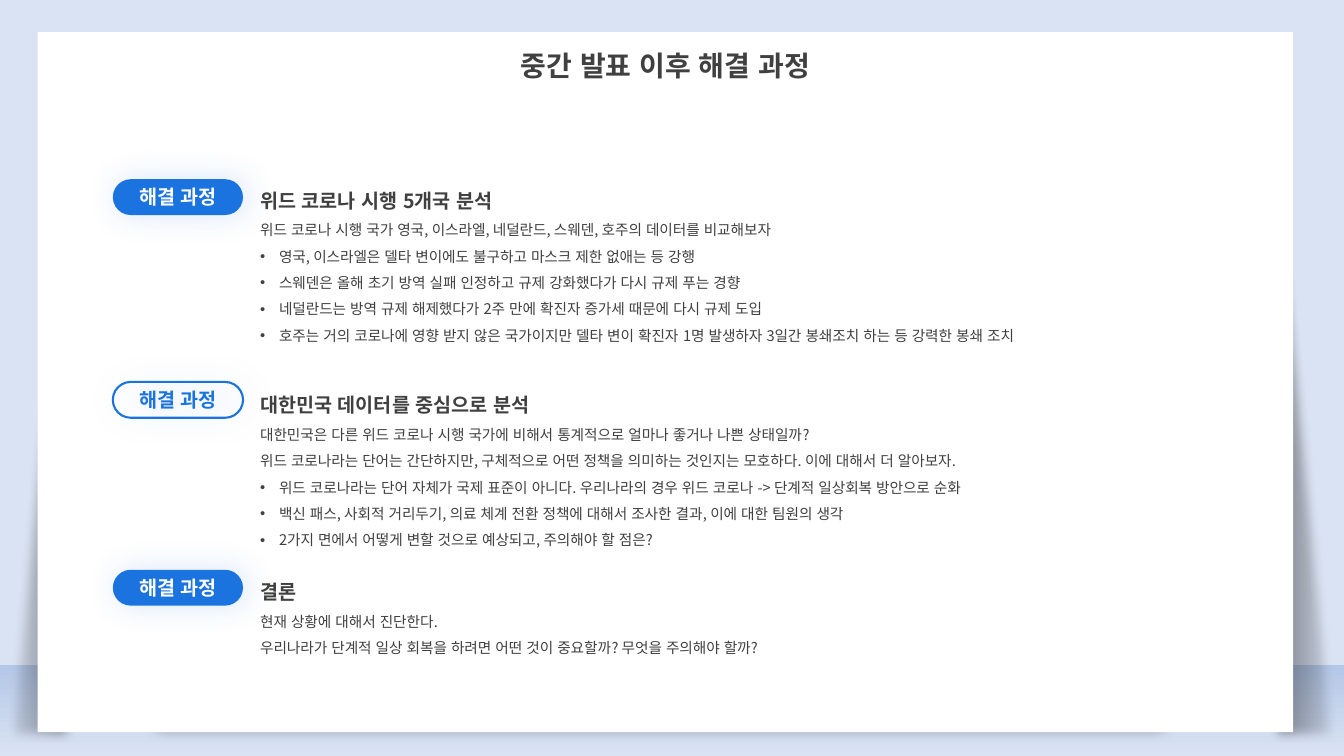
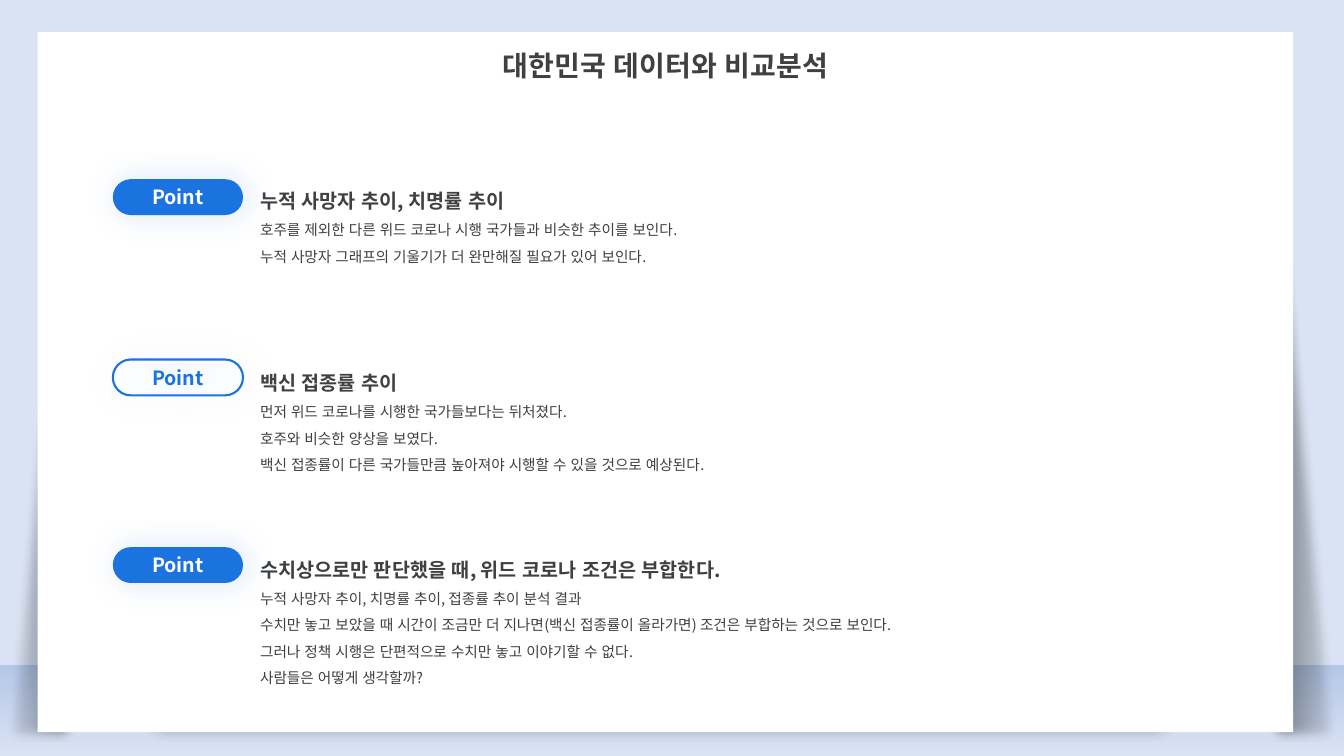
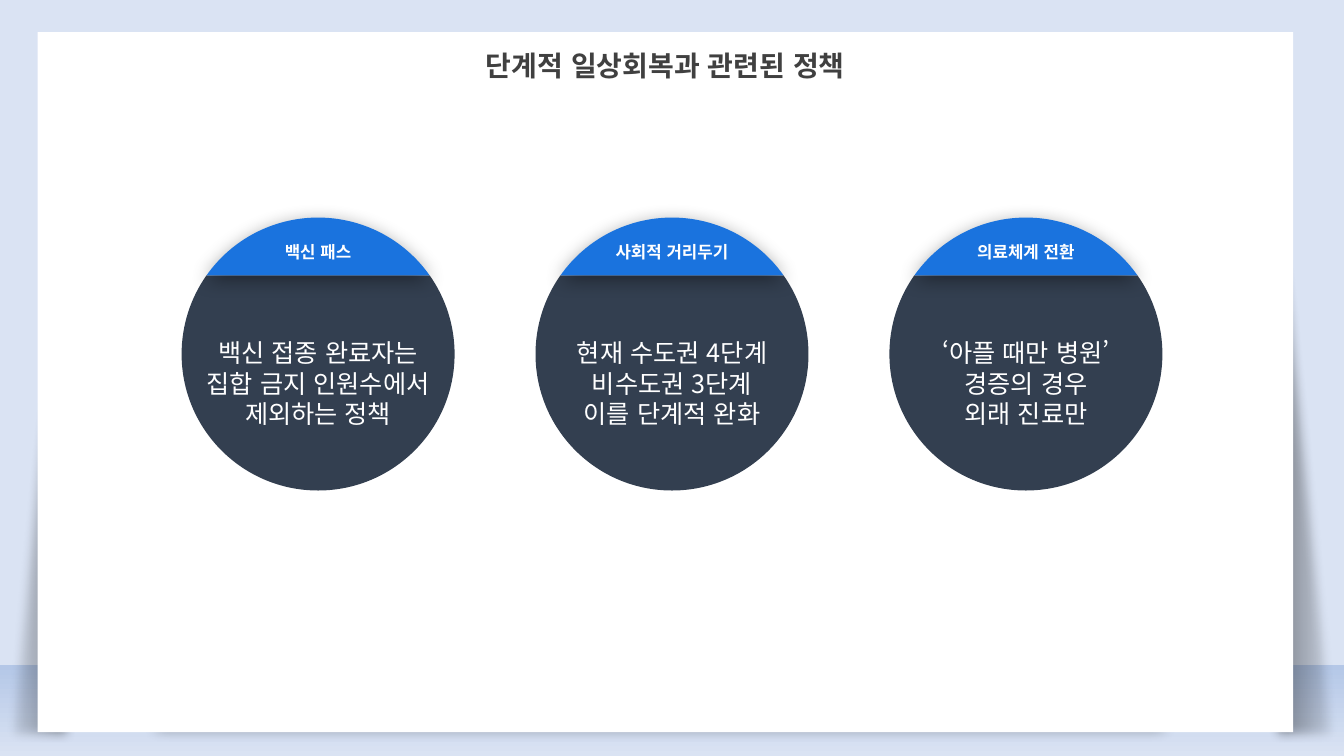
"""Build three slides on the phased return to daily life in Korea."""
import math
from dataclasses import dataclass
from typing import Optional

from lxml import etree
from pptx import Presentation
from pptx import util as u
from pptx.dml import color
from pptx.enum import lang, shapes, text
from pptx.oxml import ns

FONT = "Noto Sans CJK KR"
BLUE, NAVY, INK = "1A73DE", "333F50", "404040"
WHITE, BLACK, PALE, MIST = "FFFFFF", "000000", "DAE3F3", "B4C7E7"
SLIDE_W, SLIDE_H = 960, 540
RADIUS, CHORD_RISE = 97.5, 56.2
RECT, TRIANGLE = shapes.MSO_SHAPE.RECTANGLE, shapes.MSO_SHAPE.RIGHT_TRIANGLE
PILL = shapes.MSO_SHAPE.ROUNDED_RECTANGLE
CENTER, LEFT = text.PP_ALIGN.CENTER, text.PP_ALIGN.LEFT
TOP, MIDDLE = text.MSO_ANCHOR.TOP, text.MSO_ANCHOR.MIDDLE


@dataclass(frozen=True)
class Box:
    left: float
    top: float
    width: float
    height: float

    def lengths(self) -> tuple:
        return tuple(u.Pt(v) for v in (self.left, self.top, self.width, self.height))


@dataclass(frozen=True)
class Shadow:
    hue: str
    alpha: int
    blur: float
    dist: float
    angle: int
    scale: Optional[tuple] = None


@dataclass(frozen=True)
class Section:
    pill_top: float
    box: Box
    heading: str
    lines: tuple
    bullets: tuple = ()
    filled: bool = True


@dataclass(frozen=True)
class Policy:
    name: str
    lines: tuple


CARD = Box(26.8, 23, 897, 500)
CARD_SHADOW = Shadow(BLACK, 40, 10, 96, 18, (80, 94))
PILL_SHADOW = Shadow(BLUE, 17, 23, 3, 0)
CAP_SHADOW = Shadow(BLACK, 40, 14, 3, 90)

PROCESS = (
    Section(128, Box(178.6, 122.7, 608, 117.4), "위드 코로나 시행 5개국 분석",
            ("위드 코로나 시행 국가 영국, 이스라엘, 네덜란드, 스웨덴, 호주의 데이터를 비교해보자",),
            ("영국, 이스라엘은 델타 변이에도 불구하고 마스크 제한 없애는 등 강행",
             "스웨덴은 올해 초기 방역 실패 인정하고 규제 강화했다가 다시 규제 푸는 경향",
             "네덜란드는 방역 규제 해제했다가 2주 만에 확진자 증가세 때문에 다시 규제 도입",
             "호주는 거의 코로나에 영향 받지 않은 국가이지만 델타 변이 확진자 1명 발생하자 "
             "3일간 봉쇄조치 하는 등 강력한 봉쇄 조치")),
    Section(272.8, Box(178.6, 268.8, 669, 121), "대한민국 데이터를 중심으로 분석",
            ("대한민국은 다른 위드 코로나 시행 국가에 비해서 통계적으로 얼마나 좋거나 나쁜 상태일까?",
             "위드 코로나라는 단어는 간단하지만, 구체적으로 어떤 정책을 의미하는 것인지는 모호하다. "
             "이에 대해서 더 알아보자."),
            ("위드 코로나라는 단어 자체가 국제 표준이 아니다. 우리나라의 경우 위드 코로나 -> "
             "단계적 일상회복 방안으로 순화",
             "백신 패스, 사회적 거리두기, 의료 체계 전환 정책에 대해서 조사한 결과, 이에 대한 팀원의 생각",
             "2가지 면에서 어떻게 변할 것으로 예상되고, 주의해야 할 점은?"), filled=False),
    Section(407, Box(178.6, 402.5, 531.4, 67.7), "결론",
            ("현재 상황에 대해서 진단한다.",
             "우리나라가 단계적 일상 회복을 하려면 어떤 것이 중요할까? 무엇을 주의해야 할까?")),
)
POINTS = (
    Section(128, Box(178.6, 122.7, 608, 117.4), "누적 사망자 추이, 치명률 추이",
            ("호주를 제외한 다른 위드 코로나 시행 국가들과 비슷한 추이를 보인다.",
             "누적 사망자 그래프의 기울기가 더 완만해질 필요가 있어 보인다.")),
    Section(256.8, Box(178.6, 252.7, 669, 121), "백신 접종률 추이",
            ("먼저 위드 코로나를 시행한 국가들보다는 뒤처졌다.",
             "호주와 비슷한 양상을 보였다.",
             "백신 접종률이 다른 국가들만큼 높아져야 시행할 수 있을 것으로 예상된다."), filled=False),
    Section(390.8, Box(178.6, 386.2, 531.4, 116), "수치상으로만 판단했을 때, 위드 코로나 조건은 부합한다.",
            ("누적 사망자 추이, 치명률 추이, 접종률 추이 분석 결과",
             "수치만 놓고 보았을 때 시간이 조금만 더 지나면(백신 접종률이 올라가면) "
             "조건은 부합하는 것으로 보인다.",
             "그러나 정책 시행은 단편적으로 수치만 놓고 이야기할 수 없다.",
             "사람들은 어떻게 생각할까?")),
)
POLICIES = (
    Policy("백신 패스", ("백신 접종 완료자는", "집합 금지 인원수에서", "제외하는 정책")),
    Policy("사회적 거리두기", ("현재 수도권 4단계", "비수도권 3단계", "이를 단계적 완화")),
    Policy("의료체계 전환", ("‘아플 때만 병원’", "경증의 경우", "외래 진료만")),
)


def rgb(value: str) -> color.RGBColor:
    return color.RGBColor.from_string(value)


def paint(sp, fill: Optional[str] = None, line: Optional[str] = None) -> None:
    sp.shadow.inherit = False
    if fill:
        sp.fill.solid()
        sp.fill.fore_color.rgb = rgb(fill)
    else:
        sp.fill.background()
    if line:
        sp.line.color.rgb = rgb(line)
        sp.line.width = u.Pt(1.5)
    else:
        sp.line.fill.background()


def add_effect(sp, name: str, **attrs):
    effects = sp.element.spPr.find(ns.qn("a:effectLst"))
    return etree.SubElement(effects, ns.qn(f"a:{name}"), {k: str(v) for k, v in attrs.items()})


def cast(sp, shadow: Shadow) -> None:
    attrs = dict(blurRad=u.Pt(shadow.blur), dist=u.Pt(shadow.dist), dir=shadow.angle * 60000)
    if shadow.scale:
        attrs.update(sx=shadow.scale[0] * 1000, sy=shadow.scale[1] * 1000)
    outer = add_effect(sp, "outerShdw", **attrs, algn="tl", rotWithShape=0)
    hue = etree.SubElement(outer, ns.qn("a:srgbClr"), val=shadow.hue)
    etree.SubElement(hue, ns.qn("a:alpha"), val=str(shadow.alpha * 1000))


def gradient(sp, hues: tuple, angle: int, alphas: tuple = ()) -> None:
    sp.fill.gradient()
    sp.fill.gradient_angle = angle
    for stop, hue in zip(sp.fill.gradient_stops, hues):
        stop.color.rgb = rgb(hue)
    grad = sp.element.spPr.find(ns.qn("a:gradFill"))
    for node, alpha in zip(grad.iter(ns.qn("a:srgbClr")), alphas):
        etree.SubElement(node, ns.qn("a:alpha"), val=str(alpha * 1000))


def style(p, size: float, hue: str, bold: bool = False, align=CENTER, spacing: float = 1.0) -> None:
    p.alignment, p.line_spacing = align, spacing
    p.space_before = p.space_after = u.Pt(0)
    p.font.name, p.font.size, p.font.bold = FONT, u.Pt(size), bold
    p.font.language_id = lang.MSO_LANGUAGE_ID.KOREAN
    p.font.color.rgb = rgb(hue)
    etree.SubElement(p.font._element, ns.qn("a:ea"), typeface=FONT)


def set_bullet(p, bullet: bool) -> None:
    ppr = p._p.get_or_add_pPr()
    indent = u.Pt(13.5) if bullet else 0
    ppr.set("marL", str(indent))
    ppr.set("indent", str(-indent))
    mark = etree.Element(ns.qn("a:buChar"), char="•") if bullet else etree.Element(ns.qn("a:buNone"))
    ppr.find(ns.qn("a:defRPr")).addprevious(mark)
    if bullet:
        mark.addprevious(etree.Element(ns.qn("a:buFont"), typeface="Arial"))


def write(tf, lines: tuple, size: float, hue: str, **look) -> list:
    tf.word_wrap = True
    tf.text = "\n".join(lines)
    for p in tf.paragraphs:
        style(p, size, hue, **look)
        for r in p.runs:
            r.font.language_id = lang.MSO_LANGUAGE_ID.KOREAN
    return list(tf.paragraphs)


def place(sp, box: Box) -> None:
    sp.left, sp.top, sp.width, sp.height = box.lengths()
    sp.text_frame.auto_size = text.MSO_AUTO_SIZE.NONE
    sp.text_frame.vertical_anchor = TOP


def new_slide(prs, layout: int, title: str):
    s = prs.slides.add_slide(prs.slide_layouts[layout])
    band = s.shapes.add_shape(RECT, *Box(0, 475, SLIDE_W, 65).lengths())
    paint(band)
    gradient(band, (MIST, PALE), 270)
    for left in (0, 906):
        shade = s.shapes.add_shape(TRIANGLE, *Box(left, 0, 54, 531.4).lengths())
        paint(shade)
        gradient(shade, (BLACK, BLACK), 180, (0, 48))
        add_effect(shade, "softEdge", rad=u.Pt(8))
        if left == 0:
            shade.element.spPr.xfrm.set("flipH", "1")
    for sp in list(s.placeholders):
        sp.element.getparent().append(sp.element)
    card = s.shapes.title
    place(card, CARD)
    paint(card, WHITE)
    cast(card, CARD_SHADOW)
    tf = card.text_frame
    tf.margin_left = tf.margin_right = u.Pt(7.2)
    tf.margin_top, tf.margin_bottom = u.Pt(11.4), u.Pt(3.6)
    write(tf, (title,), 20, INK, bold=True)
    return s


def add_pill(s, section: Section, label: str) -> None:
    sp = s.shapes.add_shape(PILL, *Box(80.6, section.pill_top, 93, 25.6).lengths())
    sp.adjustments[0] = 0.5
    if section.filled:
        paint(sp, fill=BLUE)
    else:
        paint(sp, line=BLUE)
    cast(sp, PILL_SHADOW)
    sp.text_frame.vertical_anchor = MIDDLE
    write(sp.text_frame, (label,), 14, WHITE if section.filled else BLUE, bold=True)


def fill_body(sp, section: Section) -> None:
    place(sp, section.box)
    lines = (section.heading, *section.lines, *section.bullets)
    paragraphs = write(sp.text_frame, lines, 10.5, INK, align=LEFT, spacing=1.5)
    paragraphs[0].font.size, paragraphs[0].font.bold = u.Pt(14), True
    first_bullet = 1 + len(section.lines)
    for i, p in enumerate(paragraphs):
        set_bullet(p, i >= first_bullet)


def section_slide(prs, title: str, label: str, sections: tuple) -> None:
    s = new_slide(prs, 4, title)
    bodies = [sp for sp in s.placeholders if sp.placeholder_format.idx > 0]
    for sp, section in zip(bodies, sections):
        fill_body(sp, section)
        add_pill(s, section, label)
    for sp in bodies[len(sections):]:
        sp.element.getparent().remove(sp.element)


def arc_points(x: float, y: float, angles: tuple) -> list:
    """Return the start, then two handles and an end for each arc."""
    points = [(x + RADIUS * math.cos(angles[0]), y + RADIUS * math.sin(angles[0]))]
    for a, b in zip(angles, angles[1:]):
        k = 4 / 3 * math.tan((b - a) / 4)
        for angle, pull in ((a, k), (b, -k), (b, 0)):
            cos, sin = math.cos(angle), math.sin(angle)
            points.append((x + RADIUS * (cos - pull * sin), y + RADIUS * (sin + pull * cos)))
    return [(u.Pt(px), u.Pt(py)) for px, py in points]


def add_segment(s, center_x: float, angles: tuple, fill: str):
    points = arc_points(center_x, 252.9, angles)
    builder = s.shapes.build_freeform(*points[0])
    builder.add_line_segments(points[1:], close=True)
    sp = builder.convert_to_shape()
    steps = list(sp.element.spPr.iter(ns.qn("a:lnTo")))
    for i in range(0, len(steps), 3):
        curve = etree.Element(ns.qn("a:cubicBezTo"))
        steps[i].addprevious(curve)
        for step in steps[i:i + 3]:
            curve.append(step[0])
            step.getparent().remove(step)
    paint(sp, fill)
    sp.text_frame.vertical_anchor = MIDDLE
    return sp


def policy_slide(prs, title: str) -> None:
    s = new_slide(prs, 5, title)
    cut, quarter = math.asin(CHORD_RISE / RADIUS), math.pi / 2
    disc_angles = (-cut, 0, quarter, 2 * quarter, 2 * quarter + cut)
    cap_angles = (2 * quarter + cut, 3 * quarter, 4 * quarter - cut)
    centers = [SLIDE_W / 2 + 252.8 * (i - 1) for i in range(len(POLICIES))]
    for x, policy in zip(centers, POLICIES):
        disc = add_segment(s, x, disc_angles, NAVY)
        write(disc.text_frame, policy.lines, 18, WHITE)
    for x, policy in zip(centers, POLICIES):
        cap = add_segment(s, x, cap_angles, BLUE)
        cast(cap, CAP_SHADOW)
        write(cap.text_frame, (policy.name,), 12, WHITE, bold=True, spacing=1.5)


def main() -> None:
    prs = Presentation()
    prs.slide_width, prs.slide_height = u.Pt(SLIDE_W), u.Pt(SLIDE_H)
    background = prs.slide_master.background.fill
    background.solid()
    background.fore_color.rgb = rgb(PALE)
    section_slide(prs, "중간 발표 이후 해결 과정", "해결 과정", PROCESS)
    section_slide(prs, "대한민국 데이터와 비교분석", "Point", POINTS)
    policy_slide(prs, "단계적 일상회복과 관련된 정책")
    prs.save("out.pptx")


if __name__ == "__main__":
    main()
